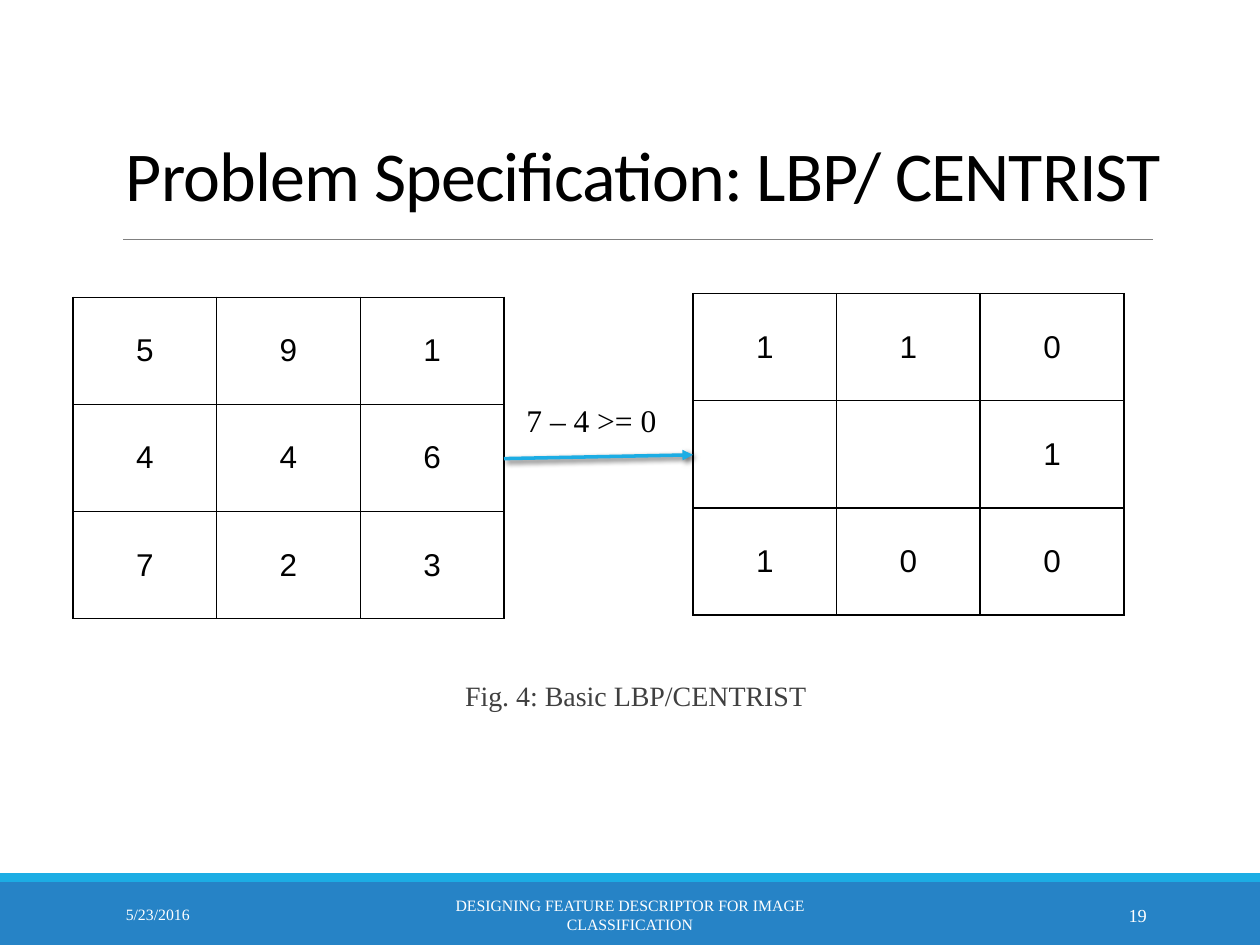
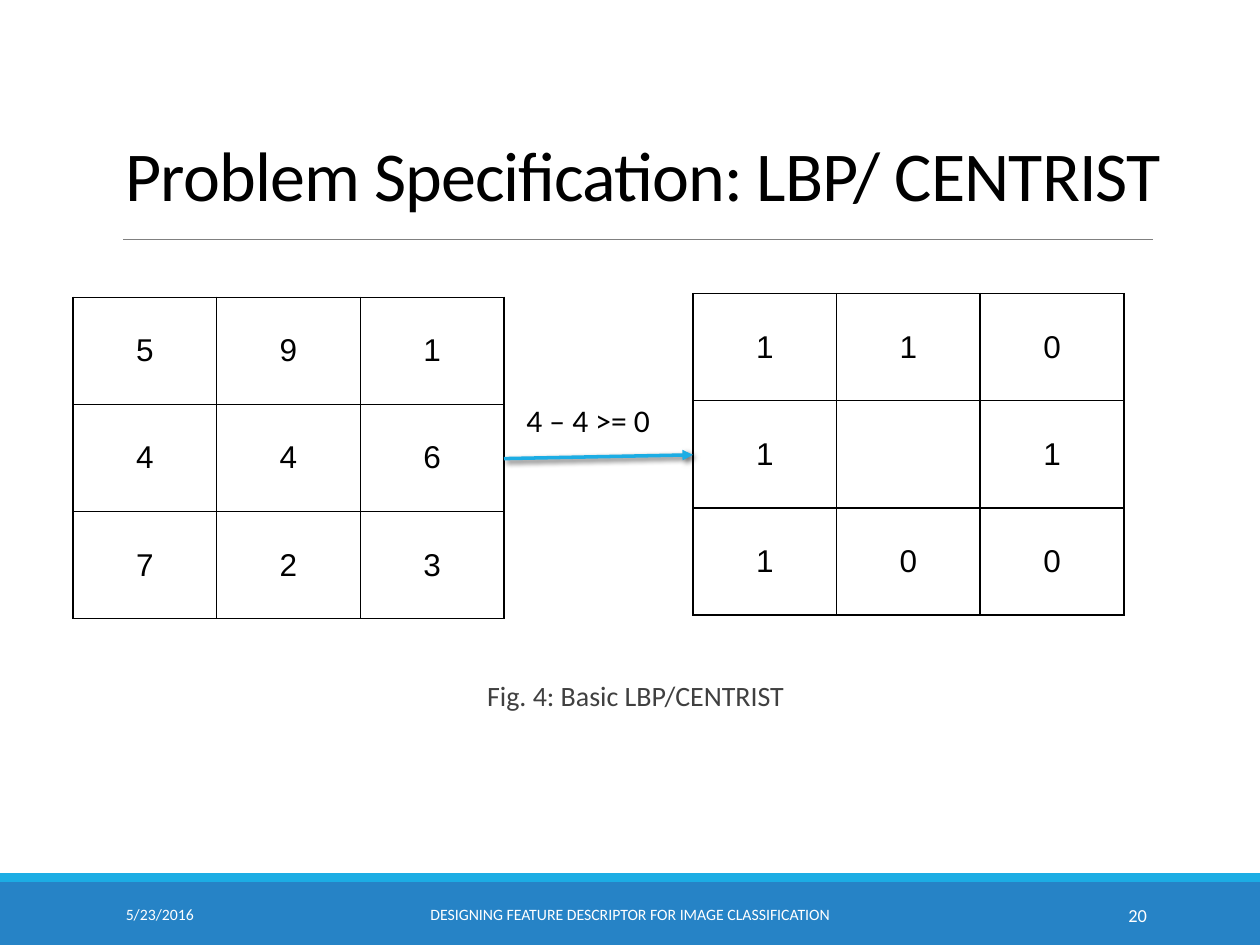
from lxml import etree
from pptx import Presentation
from pptx.dml.color import RGBColor
from pptx.enum.shapes import MSO_CONNECTOR, MSO_SHAPE
from pptx.enum.text import MSO_ANCHOR, MSO_AUTO_SIZE, PP_ALIGN
from pptx.oxml import parse_xml
from pptx.oxml.ns import qn
from pptx.util import Inches, Pt

LEFT, CENTER, RIGHT = PP_ALIGN.LEFT, PP_ALIGN.CENTER, PP_ALIGN.RIGHT
TOP, MIDDLE, BOTTOM = MSO_ANCHOR.TOP, MSO_ANCHOR.MIDDLE, MSO_ANCHOR.BOTTOM
GROW = MSO_AUTO_SIZE.SHAPE_TO_FIT_TEXT
RECTANGLE, STRAIGHT = MSO_SHAPE.RECTANGLE, MSO_CONNECTOR.STRAIGHT

NAMESPACE = 'xmlns:a="http://schemas.openxmlformats.org/drawingml/2006/main"'
BORDER = (
    '<a:{side} {ns} w="12700"><a:solidFill><a:srgbClr val="{color}"/>'
    "</a:solidFill></a:{side}>"
)
SHADOW = (
    '<a:effectLst {ns}><a:outerShdw blurRad="38100" dist="25400" dir="2700000">'
    '<a:srgbClr val="{color}"><a:alpha val="60000"/></a:srgbClr>'
    "</a:outerShdw></a:effectLst>"
)

TITLE = "Problem Specification: LBP/ CENTRIST"
CAPTION = "Fig. 4: Basic LBP/CENTRIST"
DATE = "5/23/2016"
FOOTER = "DESIGNING FEATURE DESCRIPTOR FOR IMAGE CLASSIFICATION"
PIXELS = ["591", "446", "723"]
STEPS = [
    (19, "Times New Roman", 8.52, "7 – 4 >= 0", ["110", "  1", "100"]),
    (20, "Calibri", 8.77, "4 – 4 >= 0", ["110", "1 1", "100"]),
]


def rgb(hex_color):
    return RGBColor.from_string(hex_color)


class Deck:
    black, white, gray, rule = "000000", "FFFFFF", "404040", "808080"
    blue, cyan = "2683C6", "1CADE4"
    title_font, cell_font = "Calibri", "Arial"
    cell_width, cell_height = 1.14, 0.85

    def __init__(self):
        self.presentation = Presentation()
        self.presentation.slide_width = Inches(10)
        self.presentation.slide_height = Inches(7.5)
        self.slide = None
        self.body_font = None

    def new_slide(self, body_font):
        blank = self.presentation.slide_layouts[6]
        self.slide = self.presentation.slides.add_slide(blank)
        self.body_font = body_font

    def band(self, top, height, color):
        band = self.slide.shapes.add_shape(
            RECTANGLE, 0, Inches(top), self.presentation.slide_width, Inches(height)
        )
        band.shadow.inherit = False
        band.fill.solid()
        band.fill.fore_color.rgb = rgb(color)
        band.line.fill.background()

    def style(self, paragraph, size, color, font, align):
        paragraph.alignment = align
        paragraph.font.size = Pt(size)
        paragraph.font.name = font
        paragraph.font.color.rgb = rgb(color)

    def text(self, box, words, size, color, font=None, align=LEFT, anchor=MIDDLE,
             side_inset=0.1, spacing=None, tracking=None, auto_size=None):
        frame = self.slide.shapes.add_textbox(*map(Inches, box)).text_frame
        frame.word_wrap = True
        frame.vertical_anchor = anchor
        frame.margin_left = frame.margin_right = Inches(side_inset)
        if auto_size is not None:
            frame.auto_size = auto_size
        paragraph = frame.paragraphs[0]
        run = paragraph.add_run()
        run.text = words
        if spacing:
            paragraph.line_spacing = spacing
        if tracking:
            run._r.get_or_add_rPr().set("spc", str(tracking))
        self.style(paragraph, size, color, font or self.body_font, align)

    def line(self, start, end, color, width, arrow=False):
        line = self.slide.shapes.add_connector(
            STRAIGHT, *map(Inches, (*start, *end))
        )
        line.line.color.rgb = rgb(color)
        line.line.width = Pt(width)
        properties = line._element.spPr
        if arrow:
            outline = properties.find(qn("a:ln"))
            etree.SubElement(outline, qn("a:tailEnd"), type="triangle")
            properties.append(parse_xml(SHADOW.format(ns=NAMESPACE, color=self.black)))
        else:
            etree.SubElement(properties, qn("a:effectLst"))

    def grid(self, left, top, rows):
        count = len(rows)
        table = self.slide.shapes.add_table(
            count, count, Inches(left), Inches(top),
            Inches(count * self.cell_width), Inches(count * self.cell_height),
        ).table
        table.first_row = table.horz_banding = False
        for column in table.columns:
            column.width = Inches(self.cell_width)
        for row, values in zip(table.rows, rows):
            row.height = Inches(self.cell_height)
            for cell, value in zip(row.cells, values):
                self.fill_cell(cell, value.strip())

    def fill_cell(self, cell, value):
        properties = cell._tc.get_or_add_tcPr()
        for side in ("lnL", "lnR", "lnT", "lnB"):
            properties.append(
                parse_xml(BORDER.format(side=side, ns=NAMESPACE, color=self.black))
            )
        cell.fill.background()
        cell.vertical_anchor = MIDDLE
        cell.text = value
        paragraph = cell.text_frame.paragraphs[0]
        self.style(paragraph, 18, self.black, self.cell_font, CENTER)

    def frame(self, number, title_width):
        self.band(7, 0.5, self.blue)
        self.band(6.93, 0.07, self.cyan)
        self.line((0.98, 1.9), (9.15, 1.9), self.rule, 0.5)
        self.text((0.9, 0.17, title_width, 1.59), TITLE, 40, self.black,
                  font=self.title_font, anchor=BOTTOM, spacing=0.85, tracking=-50)
        for left, width, words, size, align in (
            (0.9, 2.03, DATE, 9, LEFT),
            (3.02, 3.96, FOOTER, 9, CENTER),
            (8.12, 1.08, str(number), 10.5, RIGHT),
        ):
            self.text((left, 7.06, width, 0.4), words, size, self.white, align=align)


def main():
    deck = Deck()
    for number, body_font, title_width, comparison, bits in STEPS:
        deck.new_slide(body_font)
        deck.frame(number, title_width)
        deck.text((1.42, 5.37, 7.25, 0.55), CAPTION, 16, deck.gray, align=CENTER,
                  anchor=TOP, side_inset=0, spacing=0.9)
        deck.grid(0.58, 2.36, PIXELS)
        deck.grid(5.5, 2.33, bits)
        deck.line((4, 3.64), (5.5, 3.61), deck.cyan, 2, arrow=True)
        deck.text((4.08, 3.13, 1.33, 0.4), comparison, 18, deck.black,
                  anchor=TOP, auto_size=GROW)
    deck.presentation.save("out.pptx")


if __name__ == "__main__":
    main()
